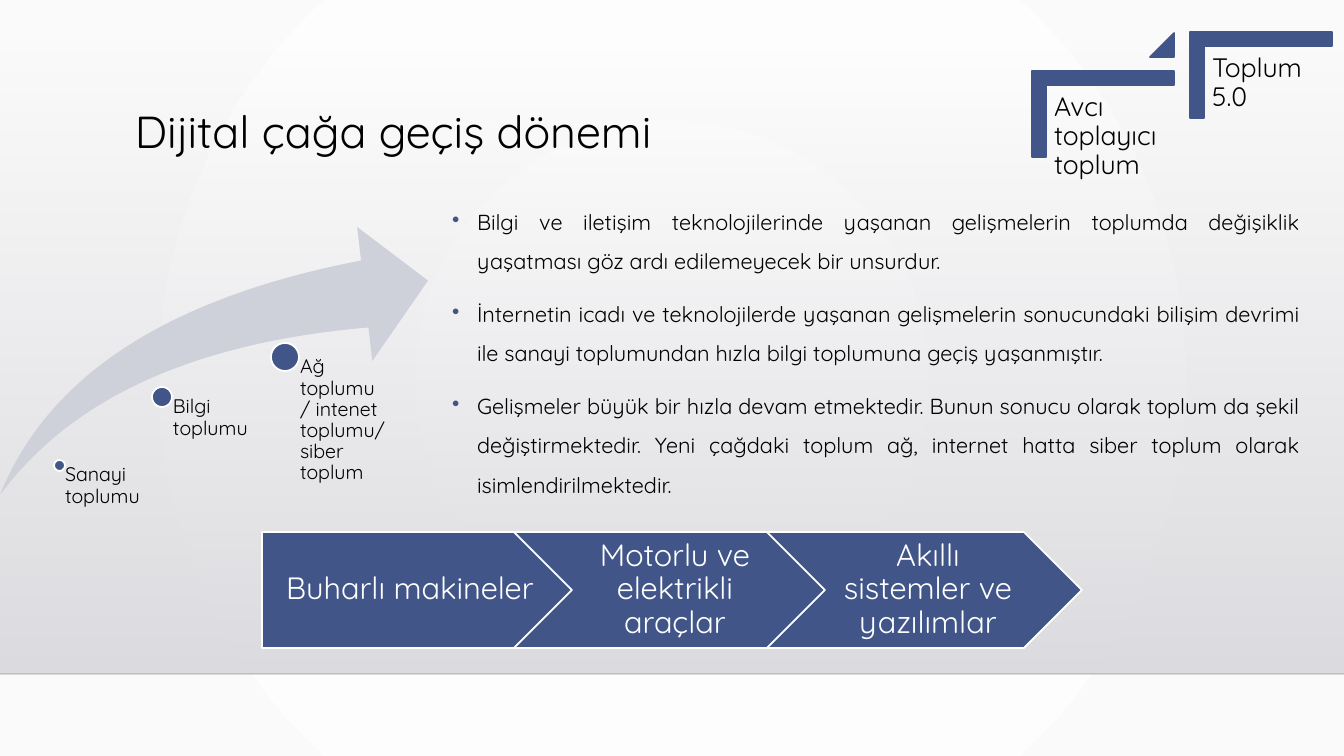
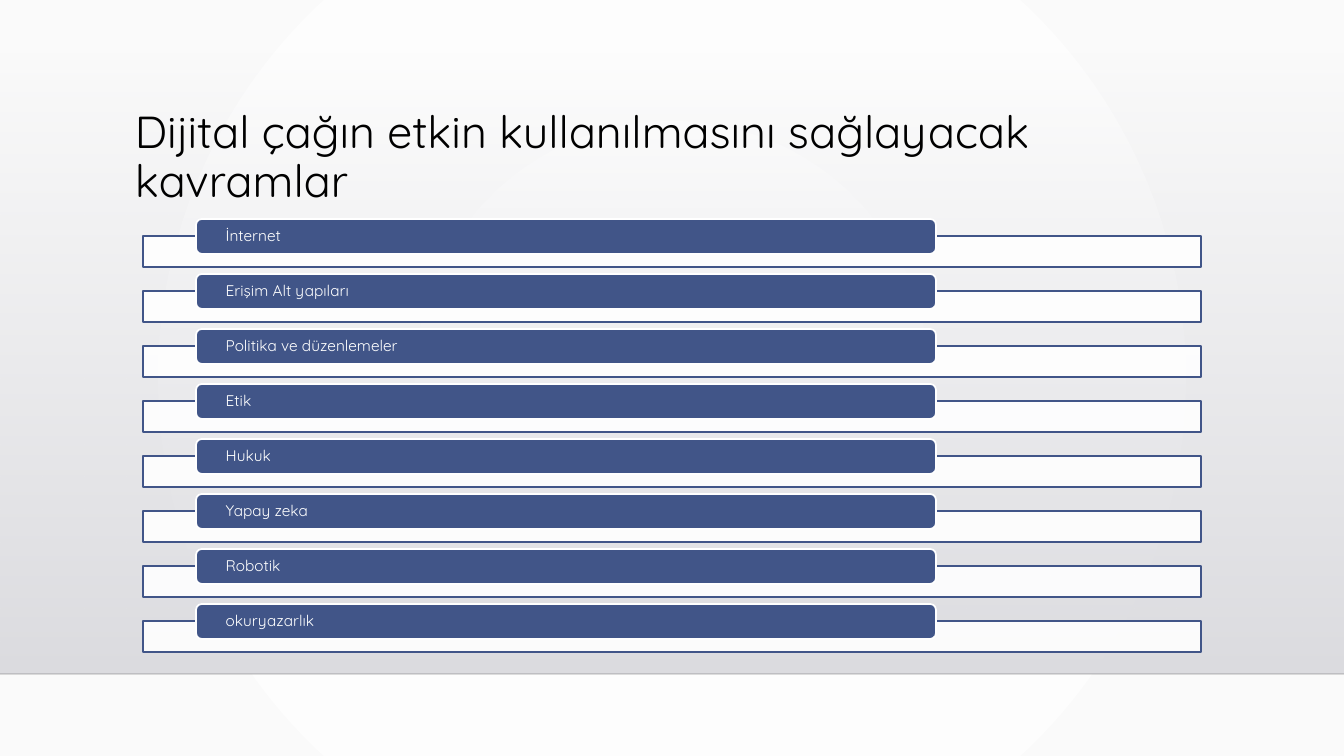
from lxml.etree import SubElement
from pptx import Presentation
from pptx.dml.color import RGBColor
from pptx.enum.shapes import MSO_CONNECTOR, MSO_SHAPE as SHAPE
from pptx.enum.text import MSO_ANCHOR as ANCHOR, PP_ALIGN as ALIGN
from pptx.oxml.ns import qn
from pptx.util import Emu, Pt

WIDTH, HEIGHT = 1344, 756
PX = 12192000 / WIDTH
FONT = "Quicksand"
COLORS = {
    "blue": "415588",
    "arrow": "CFD1DA",
    "white": "FFFFFF",
    "edge": "FAFAFA",
    "band_top": "DCDCE0",
    "band_bottom": "DEDEE2",
    "rule": "000001",
    "black": "000000",
}
RGB = {name: RGBColor.from_string(code) for name, code in COLORS.items()}


def add_block(slide, kind, box, fill=None, line=None):
    """Add a preset shape, or a text box when kind is None; box is in px."""
    box = [Emu(round(v * PX)) for v in box]
    if kind is None:
        return slide.shapes.add_textbox(*box)
    block = slide.shapes.add_shape(kind, *box)
    block.shadow.inherit = False
    if fill:
        block.fill.solid()
        block.fill.fore_color.rgb = RGB[fill]
    if line:
        block.line.color.rgb = RGB[line]
        block.line.width = Pt(1.25)
    else:
        block.line.fill.background()
    return block


def write(block, texts, size, color="black", align=ALIGN.LEFT,
          anchor=ANCHOR.TOP, insets=(10, 5, 10, 5), spacing=0.9):
    """Fill a block with paragraphs of one style; insets are in px."""
    frame = block.text_frame
    frame.word_wrap = True
    frame.vertical_anchor = anchor
    (frame.margin_left, frame.margin_top, frame.margin_right,
     frame.margin_bottom) = [Emu(round(v * PX)) for v in insets]
    frame.text = "\n".join(texts)
    for paragraph in frame.paragraphs:
        paragraph.alignment = align
        paragraph.line_spacing = spacing
        font = paragraph.runs[0].font
        font.name, font.size = FONT, Pt(size)
        font.color.rgb = RGB[color]


prs = Presentation()
prs.slide_width, prs.slide_height = Emu(round(WIDTH * PX)), Emu(round(HEIGHT * PX))

# Shared background: a faint circular gradient
backdrop = prs.slide_master.background.fill
backdrop.gradient()
for stop, name in zip(backdrop.gradient_stops, ("white", "edge")):
    stop.color.rgb = RGB[name]
gradient = prs.slide_master.element.xpath(".//p:bg//a:gradFill")[0]
gradient.remove(gradient.find(qn("a:lin")))
circle = SubElement(gradient, qn("a:path"), {"path": "circle"})
SubElement(circle, qn("a:fillToRect"), {side: "50000" for side in "ltrb"})

# Shared band, rule and title
TITLES = [
    "Dijital çağa geçiş dönemi",
    "Dijital çağın etkin kullanılmasını sağlayacak kavramlar",
]
BAND_TOP, BAND_BOTTOM = 51, 674
slides = []
for title in TITLES:
    slide = prs.slides.add_slide(prs.slide_layouts[6])
    slides.append(slide)

    band = add_block(slide, SHAPE.RECTANGLE, (0, BAND_TOP, WIDTH, BAND_BOTTOM - BAND_TOP))
    band.fill.gradient()
    band.fill.gradient_angle = 270
    for stop, name in zip(band.fill.gradient_stops, ("band_top", "band_bottom")):
        stop.color.rgb = RGB[name]
    SubElement(band.element.xpath(".//a:srgbClr")[0], qn("a:alpha"), val="0")

    rule_y = Emu(round(BAND_BOTTOM * PX))
    rule = slide.shapes.add_connector(MSO_CONNECTOR.STRAIGHT, 0, rule_y, prs.slide_width, rule_y)
    rule.line.color.rgb = RGB["rule"]
    rule.line.width = Pt(1)
    SubElement(rule.element.xpath(".//a:srgbClr")[0], qn("a:alpha"), val="20000")
    SubElement(rule.element.spPr, qn("a:effectLst"))

    write(add_block(slide, None, (125, 105, 1058, 116)), [title], 32)

transition, concepts = slides

# Slide 1: explanation
explanation = add_block(transition, None, (442, 191, 867, 363))
write(explanation, [
    "Bilgi ve iletişim teknolojilerinde yaşanan gelişmelerin toplumda değişiklik "
    "yaşatması göz ardı edilemeyecek bir unsurdur.",
    "İnternetin icadı ve teknolojilerde yaşanan gelişmelerin sonucundaki bilişim "
    "devrimi ile sanayi toplumundan hızla bilgi toplumuna geçiş yaşanmıştır.",
    "Gelişmeler büyük bir hızla devam etmektedir. Bunun sonucu olarak toplum da şekil "
    "değiştirmektedir. Yeni çağdaki toplum ağ, internet hatta siber toplum olarak "
    "isimlendirilmektedir.",
], 15.5, align=ALIGN.JUSTIFY, spacing=1.5)
for paragraph in explanation.text_frame.paragraphs:
    paragraph.space_before = Pt(10)
INDENT = round(25 * PX)
for props in explanation.element.xpath(".//a:pPr"):
    props.set("marL", str(INDENT))
    props.set("indent", str(-INDENT))
    SubElement(SubElement(props, qn("a:buClr")), qn("a:srgbClr"), val=COLORS["blue"])
    SubElement(props, qn("a:buChar"), char="•")

# Slide 1: societies along the rising arrow
swoosh = add_block(transition, SHAPE.SWOOSH_ARROW, (0, 227, 428, 268), "arrow")
swoosh.adjustments[0] = swoosh.adjustments[1] = 0.25
LABEL_BOTTOM = 542
for society, x, y, size in [
    ("Sanayi toplumu", 54, 460, 11),
    ("Bilgi toplumu", 152, 387, 20),
    ("Ağ toplumu / intenet toplumu/ siber toplum", 271, 343, 28),
]:
    add_block(transition, SHAPE.OVAL, (x, y, size, size), "blue", "white")
    radius = size // 2
    label_y = y + radius
    label = add_block(transition, None, (x + radius, label_y, 103, LABEL_BOTTOM - label_y))
    write(label, [society], 14, insets=(radius + 1, 0, 0, 0))

# Slide 1: technology stages
for i, (stage, kind, inset) in enumerate([
    ("Buharlı makineler", SHAPE.PENTAGON, 13),
    ("Motorlu ve elektrikli araçlar", SHAPE.CHEVRON, 10),
    ("Akıllı sistemler ve yazılımlar", SHAPE.CHEVRON, 10),
]):
    step = add_block(transition, kind, (262 + i * 505 // 2, 532, 315, 116), "blue", "white")
    write(step, [stage], 22, "white", ALIGN.CENTER, ANCHOR.MIDDLE, (inset, 6, 3, 6))

# Slide 1: stairs from the first society to the latest
for society, x, y in [("Avcı toplayıcı toplum", 1060, 43), ("Toplum 5.0", 1218, 4)]:
    stair = add_block(transition, SHAPE.CORNER, (x, y, 86, 142), "blue", "blue")
    stair.rotation = 90
    stair.adjustments[0] = stair.adjustments[1] = 0.16
    write(add_block(transition, None, (x - 14, y + 43, 128, 113)), [society], 19,
          insets=(8, 8, 8, 8))
rise = add_block(transition, SHAPE.ISOSCELES_TRIANGLE, (1150, 33, 24, 24), "blue", "blue")
rise.adjustments[0] = 1

# Slide 2: list of concepts
ROW_TOP, ROW_PITCH = 219, 55
for i, concept in enumerate([
    "İnternet", "Erişim Alt yapıları", "Politika ve düzenlemeler", "Etik",
    "Hukuk", "Yapay zeka", "Robotik", "okuryazarlık",
]):
    y = ROW_TOP + i * ROW_PITCH
    tray = add_block(concepts, SHAPE.RECTANGLE, (143, y + 17, 1058, 31), "white", "blue")
    SubElement(tray.element.xpath(".//a:srgbClr")[0], qn("a:alpha"), val="90000")
    tab = add_block(concepts, SHAPE.ROUNDED_RECTANGLE, (196, y, 740, 35), "blue", "white")
    write(tab, [concept], 11, "white", anchor=ANCHOR.MIDDLE, insets=(28, 0, 28, 0))

prs.save("out.pptx")
